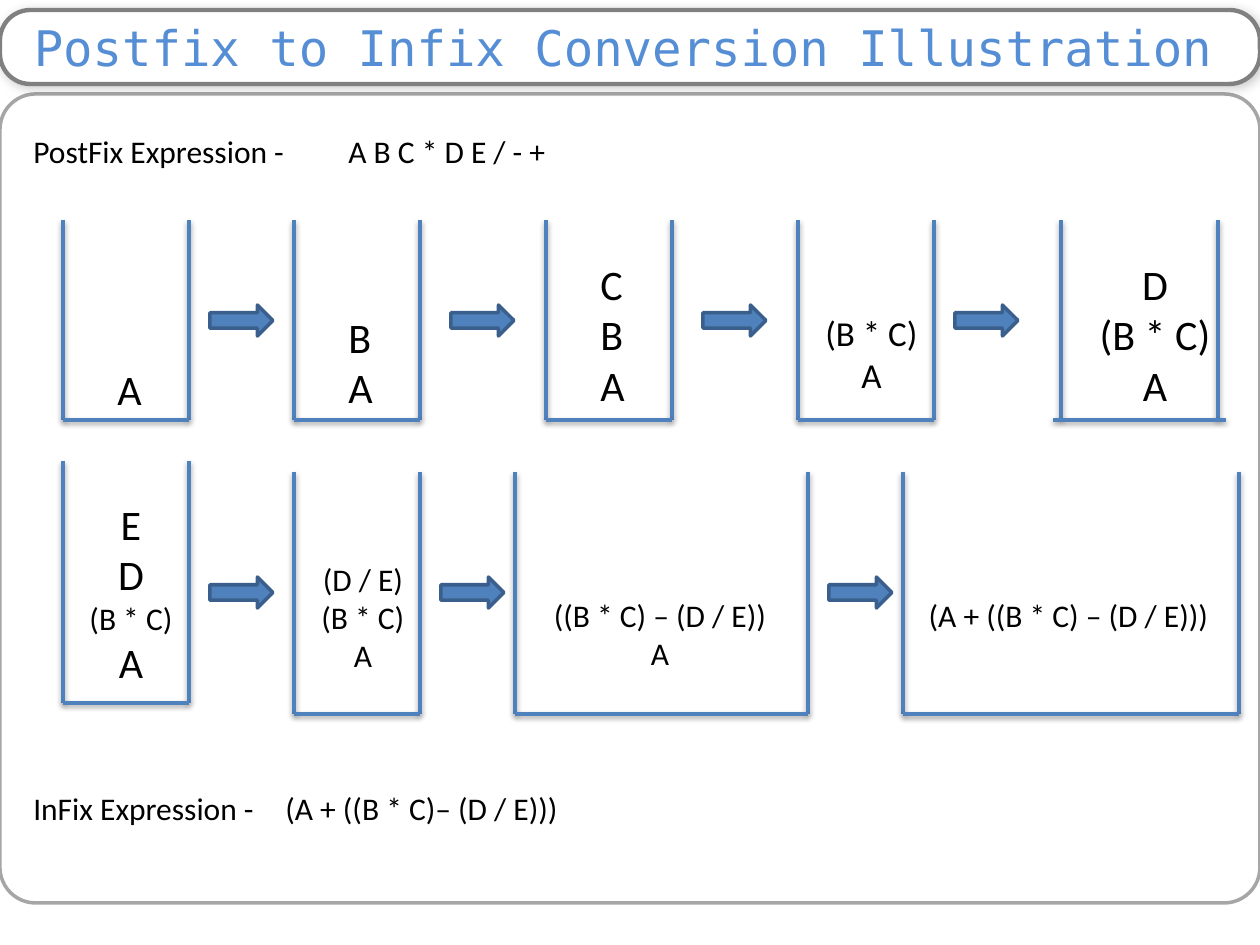
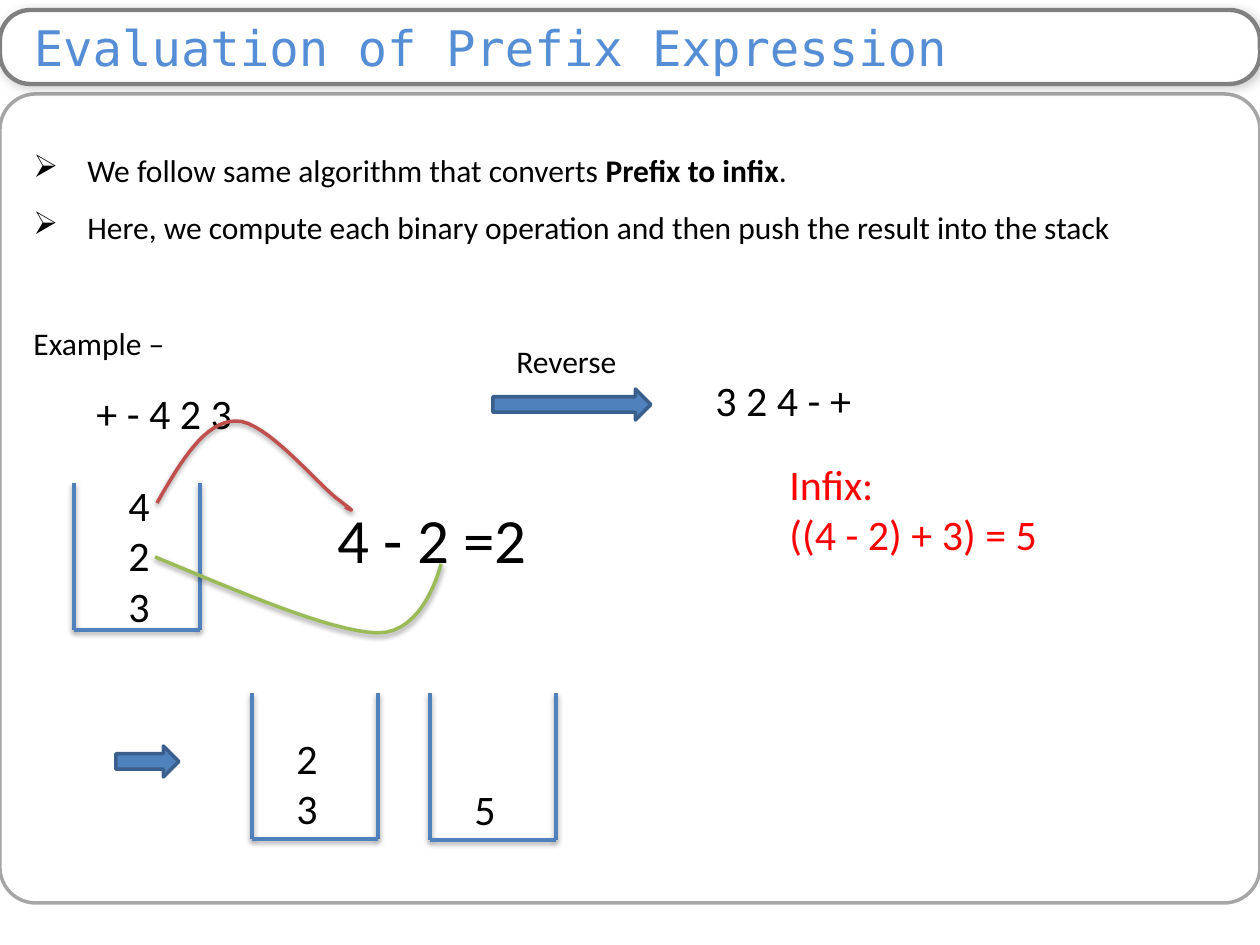
"""Build two slides on postfix and prefix expressions worked with stacks."""
from dataclasses import dataclass

from lxml import etree
from pptx import Presentation
from pptx import util as u
from pptx.dml.color import RGBColor
from pptx.enum import shapes, text
from pptx.oxml.ns import qn

SCALE = 914400 / 126
LINE_HEIGHT = 1.22
CENTER = text.PP_ALIGN.CENTER


@dataclass(frozen=True)
class Theme:
    title_font: str = "DejaVu Sans Mono"
    body_font: str = "Calibri"
    title_size: int = 28
    result_size: int = 36
    stack_size: int = 24
    medium_size: int = 20
    body_size: int = 18
    thin: float = 2
    thick: float = 2.5
    title: str = "558ED5"
    title_border: str = "808080"
    frame: str = "A6A6A6"
    paper: str = "FFFFFF"
    ink: str = "000000"
    answer: str = "FF0000"
    blue: str = "4F81BD"
    dark_blue: str = "3A5F8C"
    red: str = "C0504D"
    green: str = "9BBB59"


def px(length):
    return u.Emu(round(length * SCALE))


def box(*lengths):
    return [px(length) for length in lengths]


def apply(target, values):
    for name, value in values.items():
        setattr(target, name, value)


def cast_shadow(shape, blur, distance, angle, opacity):
    properties = shape._element.spPr
    for old in properties.findall(qn("a:effectLst")):
        properties.remove(old)
    effects = etree.SubElement(properties, qn("a:effectLst"))
    shadow = etree.SubElement(
        effects, qn("a:outerShdw"), blurRad=str(u.Pt(blur)), dist=str(u.Pt(distance)),
        dir=str(angle * 60000), rotWithShape="0")
    color = etree.SubElement(shadow, qn("a:srgbClr"), val="000000")
    etree.SubElement(color, qn("a:alpha"), val=str(opacity * 1000))


def bezier(start, first, second, end, steps=16):
    for step in range(1, steps + 1):
        t = step / steps
        weights = ((1 - t) ** 3, 3 * t * (1 - t) ** 2, 3 * t * t * (1 - t), t ** 3)
        yield tuple(sum(w * point[axis] for w, point in zip(weights, (start, first, second, end)))
                    for axis in (0, 1))


class Deck:
    def __init__(self, theme):
        self.theme = theme
        self.presentation = Presentation()
        apply(self.presentation, {"slide_width": px(1260), "slide_height": px(945)})
        self.slide = None

    def new_slide(self, title):
        theme = self.theme
        self.slide = self.presentation.slides.add_slide(self.presentation.slide_layouts[6])
        self.shape("ROUNDED_RECTANGLE", (0, 94, 1260, 809), theme.frame, adjustment=0.044)
        banner = self.shape("ROUNDED_RECTANGLE", (0, 10, 1260, 74), theme.title_border,
                            theme.paper, theme.thick, 0.409)
        cast_shadow(banner, 6, 1, 45, 20)
        apply(banner.text_frame, {
            "margin_left": px(25), "margin_right": px(13), "margin_top": 0, "margin_bottom": 0,
            "word_wrap": True, "vertical_anchor": text.MSO_ANCHOR.MIDDLE})
        paragraph = banner.text_frame.paragraphs[0]
        paragraph.alignment = text.PP_ALIGN.LEFT
        self.words(paragraph, title, theme.title, name=theme.title_font,
                   size=u.Pt(theme.title_size))

    def stroke(self, shape, color, width=None):
        shape.line.color.rgb = RGBColor.from_string(color)
        shape.line.width = u.Pt(width or self.theme.thin)

    def shape(self, kind, place, border, fill=None, width=None, adjustment=None):
        shape = self.slide.shapes.add_shape(getattr(shapes.MSO_SHAPE, kind), *box(*place))
        shape.shadow.inherit = False
        if fill:
            shape.fill.solid()
            shape.fill.fore_color.rgb = RGBColor.from_string(fill)
        else:
            shape.fill.background()
        self.stroke(shape, border, width)
        if adjustment is not None:
            shape.adjustments[0] = adjustment
        return shape

    def arrow(self, left, top, width=63):
        self.shape("RIGHT_ARROW", (left, top, width, 31), self.theme.dark_blue, self.theme.blue)

    def line(self, *ends):
        connector = self.slide.shapes.add_connector(shapes.MSO_CONNECTOR.STRAIGHT, *box(*ends))
        self.stroke(connector, self.theme.blue)
        cast_shadow(connector, 3.1, 1.6, 90, 38)

    def stack(self, left, right, top, bottom, overhang=0):
        for wall in (left, right):
            self.line(wall, top, wall, bottom)
        self.line(left - overhang, bottom, right + overhang, bottom)

    def curve(self, color, start, *segments):
        points = []
        pen = start
        for segment in segments:
            points += bezier(pen, *segment)
            pen = segment[-1]
        builder = self.slide.shapes.build_freeform(*box(*start))
        builder.add_line_segments([box(*point) for point in points], close=False)
        shape = builder.convert_to_shape()
        shape.fill.background()
        self.stroke(shape, color)
        cast_shadow(shape, 3.1, 1.6, 90, 38)

    def words(self, paragraph, content, color, **values):
        run = paragraph.add_run()
        run.text = content
        apply(run.font, values)
        run.font.color.rgb = RGBColor.from_string(color)

    def label(self, left, top, width, paragraphs, size=None, color=None, bullet=None, **values):
        """Add paragraphs, each a string or a list of (words, font values) pairs."""
        theme = self.theme
        size = size or theme.stack_size
        spacing = values.get("line_spacing", 1)
        height = round(len(paragraphs) * size * LINE_HEIGHT * spacing * 1.75) + 13
        frame = self.slide.shapes.add_textbox(*box(left, top, width, height)).text_frame
        frame.word_wrap = True
        for index, content in enumerate(paragraphs):
            paragraph = frame.add_paragraph() if index else frame.paragraphs[0]
            apply(paragraph, values)
            if bullet:
                properties = paragraph._p.get_or_add_pPr()
                properties.set("marL", str(px(54)))
                properties.set("indent", str(-px(54)))
                etree.SubElement(properties, qn("a:buChar"), char=bullet)
            runs = [(content, {})] if isinstance(content, str) else content
            for part, changes in runs:
                font = {"name": theme.body_font, "size": u.Pt(size), **changes}
                self.words(paragraph, part, color or theme.ink, **font)


def postfix_to_infix(deck):
    theme = deck.theme
    body = theme.body_size
    deck.new_slide("Postfix to Infix Conversion Illustration")
    deck.label(21, 126, 872, ["PostFix Expression - \tA B C * D E / - +"], body)
    for left, right, overhang in ((63, 189, 0), (294, 420, 0), (546, 672, 0),
                                  (798, 934, 0), (1061, 1218, 8)):
        deck.stack(left, right, 220, 420, overhang)
    for left, right, top in ((63, 189, 461), (294, 420, 472), (515, 808, 472), (903, 1239, 472)):
        deck.stack(left, right, top, top + 242)

    deck.label(105, 357, 53, ["A"])
    deck.label(336, 305, 53, ["B", "A"])
    deck.label(588, 252, 53, ["C", "B", "A"])
    small_pair = [("(B * C)", {"size": u.Pt(body)})]
    for left, top, width, items, size in (
            (809, 305, 125, ["(B * C)", "A"], theme.medium_size),
            (1050, 252, 210, ["D", "(B * C)", "A"], theme.stack_size),
            (73, 492, 116, ["E", "D", small_pair, "A"], theme.stack_size),
            (305, 554, 116, ["(D / E)", "(B * C)", "A"], body),
            (525, 590, 270, ["((B * C) – (D / E))", "A"], body),
            (915, 590, 307, ["(A + ((B * C) – (D / E)))"], body)):
        deck.label(left, top, width, items, size, alignment=CENTER)

    deck.label(21, 783, 872, ["InFix Expression - \t(A + ((B * C)– (D / E)))"], body)
    for top, lefts in ((305, (210, 451, 703, 955)), (577, (210, 441, 829))):
        for left in lefts:
            deck.arrow(left, top)


def prefix_evaluation(deck):
    theme = deck.theme
    body = theme.body_size
    deck.new_slide("Evaluation of Prefix Expression")
    deck.label(21, 126, 1218, [
        [("We follow same algorithm that converts ", {}), ("Prefix to infix", {"bold": True}),
         (".", {})],
        "Here, we compute each binary operation and then push the result into the stack",
    ], body, bullet="➢", line_spacing=1.5)
    deck.label(21, 299, 460, [
        "Example –", [("\t+ - 4 2 3", {"size": u.Pt(theme.stack_size)})],
    ], body, line_spacing=1.5)

    deck.label(504, 336, 126, ["Reverse"], body)
    deck.arrow(493, 389, 158)
    deck.label(703, 368, 420, ["3 2 4 - +"])
    deck.label(777, 452, 420, ["Infix:", "((4 - 2) + 3) = 5"], color=theme.answer)

    for left, top, bottom in ((74, 483, 630), (252, 693, 839), (430, 693, 840)):
        deck.stack(left, left + 126, top, bottom)
    deck.label(116, 473, 53, ["4", "2", "3"])
    deck.label(284, 726, 74, ["2", "3"])
    deck.label(462, 777, 74, ["5"])
    deck.arrow(116, 746)

    deck.label(325, 494, 567, ["4 - 2 =2"], theme.result_size)
    deck.curve(theme.red, (157, 503),
               ((181, 461), (205, 421), (236, 421)),
               ((266, 420), (320, 487), (339, 500)),
               ((357, 514), (352, 510), (345, 507)))
    deck.curve(theme.green, (155, 557),
               ((242, 593), (329, 631), (377, 633)),
               ((425, 634), (441, 564), (441, 564)))


def main():
    deck = Deck(Theme())
    postfix_to_infix(deck)
    prefix_evaluation(deck)
    deck.presentation.save("out.pptx")


if __name__ == "__main__":
    main()
